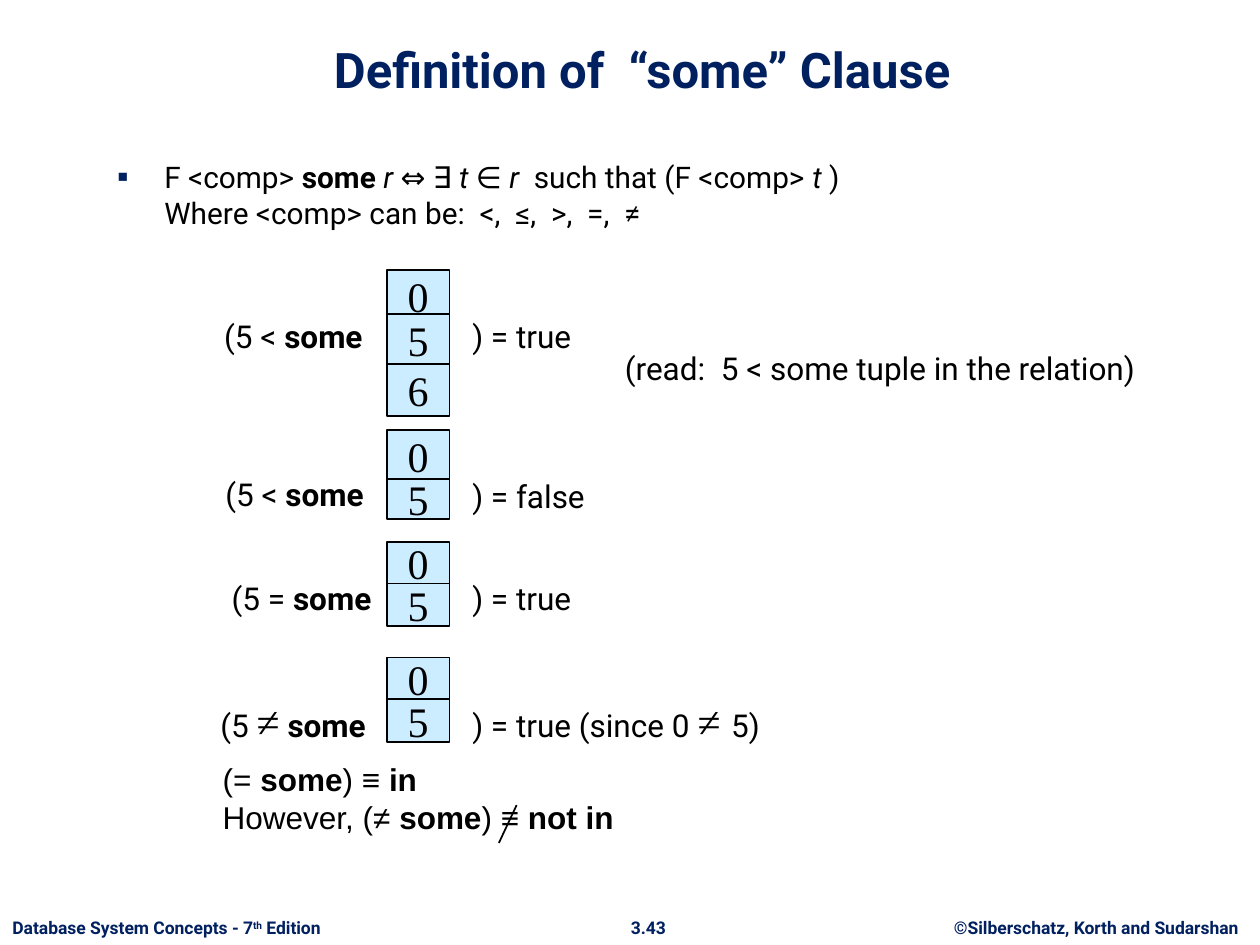
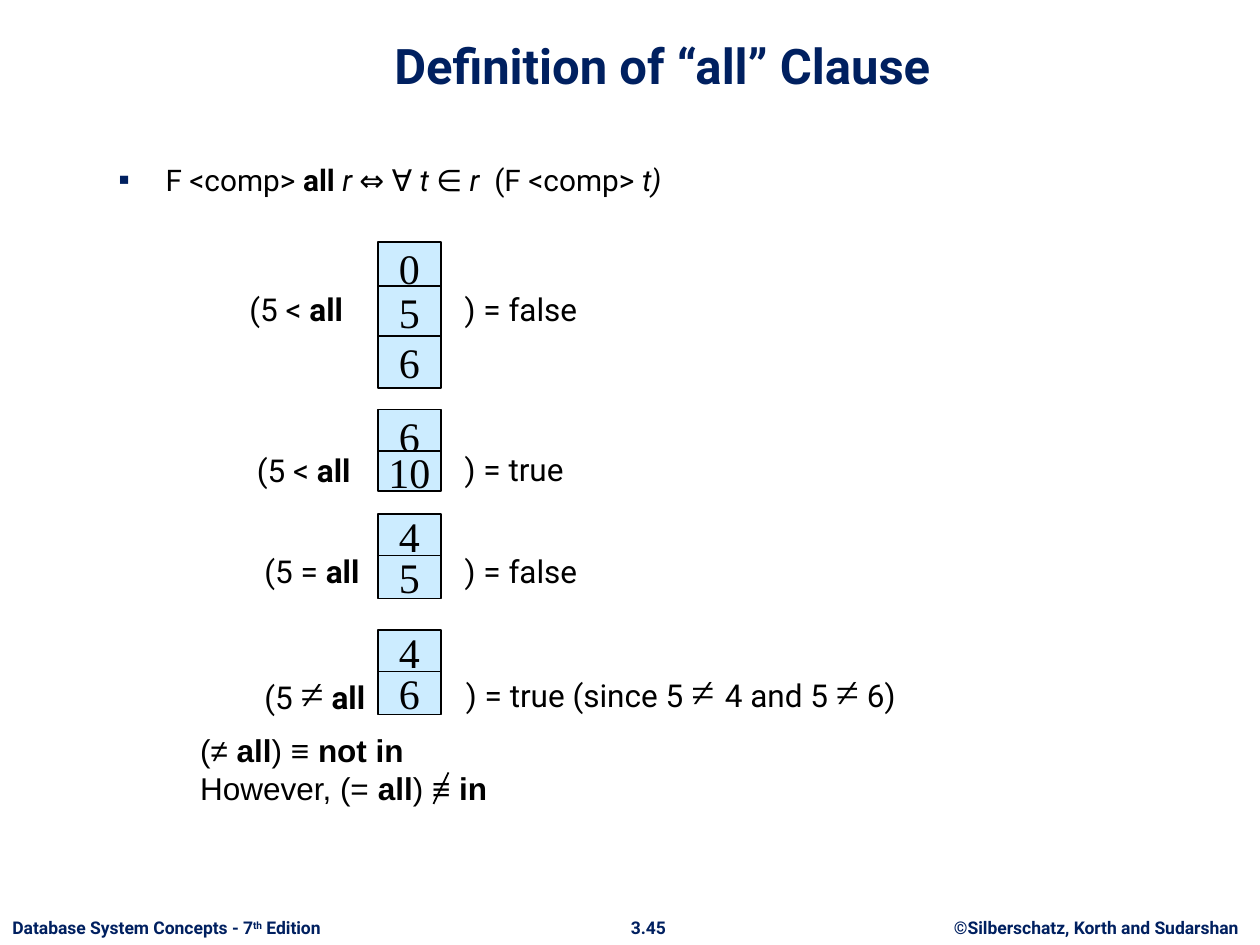
from lxml.etree import SubElement
from pptx import Presentation
from pptx.dml.color import RGBColor
from pptx.enum.shapes import MSO_CONNECTOR, MSO_SHAPE
from pptx.enum.text import MSO_ANCHOR, MSO_AUTO_SIZE, PP_ALIGN
from pptx.oxml.ns import qn
from pptx.util import Pt

COLORS = {"navy": "002060", "ink": "000000", "cell": "CCECFF"}
SANS, SERIF, PLAIN = "Roboto", "Times New Roman", "Arial"
CELL_W = 36
NEQ = ("≠", "sign")
NEQ_GAP = ("≠ ", "sign")


def color(name):
    return RGBColor.from_string(COLORS[name])


class Deck:
    def __init__(self):
        self.prs = Presentation()
        self.prs.slide_width, self.prs.slide_height = Pt(720), Pt(540)
        self.slide = None

    def start(self, title, left, top, page):
        self.slide = self.prs.slides.add_slide(self.prs.slide_layouts[5])
        box = self.slide.shapes.title
        box.left, box.top, box.width, box.height = Pt(left), Pt(top), Pt(635.8), Pt(48.2)
        frame = box.text_frame
        frame.auto_size = MSO_AUTO_SIZE.NONE
        frame.vertical_anchor = MSO_ANCHOR.BOTTOM
        frame.text = title
        para = frame.paragraphs[0]
        para.alignment = PP_ALIGN.CENTER
        self.style(para.runs[0], 28, tint="navy", bold=True)
        self.footer(page)

    def style(self, run, size, font=SANS, tint="ink", bold=False, italic=False):
        face = run.font
        face.size, face.name = Pt(size), font
        face.bold, face.italic = bold, italic
        face.color.rgb = color(tint)

    def fill(self, para, parts, size, font=SANS, tint="ink", bold=False):
        """Add runs: a plain string, or a pair of text and kind (bold, italic, sign, super)."""
        for part in parts:
            text, kind = (part, "") if isinstance(part, str) else part
            if kind == "break":
                para.add_line_break()
                continue
            run = para.add_run()
            run.text = text
            if kind == "sign":
                self.style(run, 24, SERIF, tint)
            else:
                self.style(run, size, font, tint, bold or kind == "bold", kind == "italic")
            if kind == "super":
                run.font._element.set("baseline", "30000")

    def text(self, left, top, width, height, *lines, size=18, font=SANS,
             tint="ink", bold=False, align=PP_ALIGN.LEFT):
        box = self.slide.shapes.add_textbox(Pt(left), Pt(top), Pt(width), Pt(height))
        frame = box.text_frame
        frame.word_wrap = True
        for i, parts in enumerate(lines):
            para = frame.add_paragraph() if i else frame.paragraphs[0]
            para.alignment = align
            self.fill(para, parts, size, font, tint, bold)
        return frame

    def footer(self, page):
        look = dict(size=10, tint="navy", bold=True)
        mid = PP_ALIGN.CENTER
        self.text(532.8, 520.5, 187.2, 19.5, ["©Silberschatz, Korth and Sudarshan"], align=mid, **look)
        self.text(340, 520.5, 61, 19.5, [page], align=mid, **look)
        self.text(0, 520.5, 202.3, 19.5,
                  ["Database System Concepts - 7", ("th", "super"), " Edition"], **look)

    def bullet(self, left, top, width, height, parts):
        frame = self.text(left, top, width, height, parts, size=17)
        props = frame.paragraphs[0]._p.get_or_add_pPr()
        props.set("marL", str(Pt(27)))
        props.set("indent", str(-Pt(27)))
        tint = SubElement(props, qn("a:buClr"))
        SubElement(tint, qn("a:srgbClr"), val=COLORS["navy"])
        SubElement(props, qn("a:buSzPct"), val="110000")
        SubElement(props, qn("a:buFont"), typeface=PLAIN)
        SubElement(props, qn("a:buChar"), char="▪")

    def cell(self, left, top, height, value):
        box = self.slide.shapes.add_shape(
            MSO_SHAPE.RECTANGLE, Pt(left), Pt(top), Pt(CELL_W), Pt(height))
        box.shadow.inherit = False
        box.fill.solid()
        box.fill.fore_color.rgb = color("cell")
        box.line.color.rgb = color("ink")
        box.line.width = Pt(1)
        frame = box.text_frame
        frame.word_wrap = False
        frame.vertical_anchor = MSO_ANCHOR.MIDDLE
        frame.text = value
        para = frame.paragraphs[0]
        para.alignment = PP_ALIGN.CENTER
        self.style(para.runs[0], 24, SERIF)

    def stack(self, left, cells):
        for top, height, value in cells:
            self.cell(left, top, height, value)

    def claim(self, spot, parts, width):
        """Put one side of a comparison at a spot, taller where it holds a large sign."""
        tall = any(part in (NEQ, NEQ_GAP) for part in parts)
        self.text(*spot, width, 36 if tall else 28.8, parts)

    def line(self, x1, y1, x2, y2):
        bar = self.slide.shapes.add_connector(
            MSO_CONNECTOR.STRAIGHT, Pt(x1), Pt(y1), Pt(x2), Pt(y2))
        bar.line.color.rgb = color("ink")
        bar.line.width = Pt(1)
        SubElement(bar._element.spPr, qn("a:effectLst"))

    def tests(self, word, left, rows):
        """Draw rows of: left spot, sign, cells, right spot, result."""
        for start, sign, cells, end, result in rows:
            self.stack(left, cells)
            lead = ["(5 ", NEQ, " "] if sign == "≠" else [f"(5 {sign} "]
            self.claim(start, lead + [(word, "bold")], 120)
            self.claim(end, result, 360)

    def rules(self, left, top, word, first, second, slash):
        """Write the two closing equivalences and strike out the second."""
        lines = [[f"{lead} ", (word, "bold"), ") ≡ ", (goal, "bold")]
                 for lead, goal in (first, second)]
        self.text(left, top, 535.7, 56.2, *lines, font=PLAIN)
        self.line(*slash)


def some(deck):
    deck.start("Definition of  “some” Clause", 49, 11.5, "3.43")
    deck.bullet(59.8, 87.1, 535.7, 56.2, [
        "F <comp> ", ("some ", "bold"), ("r ", "italic"), "⇔ ∃ ", ("t ", "italic"), "∈",
        (" r  ", "italic"), "such that (F <comp> ", ("t ", "italic"), ")", ("", "break"),
        "Where <comp> can be:  <,  ≤,  >,  =,  ≠"])
    deck.tests("some", 221, [
        ((121, 177.8), "<", [(154.1, 29.5, "0"), (179.3, 29.5, "5"), (208.1, 29.5, "6")],
         (262.8, 177.8), [") = true"]),
        ((121.7, 267.8), "<", [(245.5, 30.2, "0"), (273.6, 23, "5")],
         (262.8, 269.3), [") = false"]),
        ((125.3, 327.6), "=", [(309.6, 24.5, "0"), (333.4, 24.5, "5")],
         (262.8, 327.6), [") = true"]),
        ((118.8, 393.8), "≠", [(375.8, 24.5, "0"), (399.6, 24.5, "5")],
         (262.8, 393.8), [") = true (since 0 ", NEQ_GAP, "5)"]),
    ])
    deck.text(350, 195.8, 370, 28.8, ["(read:  5 < some tuple in the relation)"])
    deck.rules(120.2, 430.6, "some", ("(=", "in"), ("However, (≠", "not in"),
               (295.2, 460.1, 285.1, 481.7))


def every(deck):
    deck.start("Definition of “all” Clause", 60.5, 9.4, "3.45")
    deck.bullet(60.5, 88.6, 527, 30.2, [
        "F <comp> ", ("all ", "bold"), ("r ", "italic"), "⇔ ∀ ", ("t ", "italic"), "∈",
        (" r ", "italic"), " (F <comp> ", ("t)", "italic")])
    deck.tests("all", 216, [
        ((135.4, 162), "<", [(138.2, 29.5, "0"), (163.4, 29.5, "5"), (192.2, 29.5, "6")],
         (258.5, 162), [") = false"]),
        ((139.7, 254.2), "<", [(234, 30.2, "6"), (257.8, 23, "10")],
         (258.5, 253.4), [") = true"]),
        ((144, 311.8), "=", [(293.8, 24.5, "4"), (317.5, 24.5, "5")],
         (258.5, 311.8), [") = false"]),
        ((144, 378), "≠", [(360, 24.5, "4"), (383.8, 24.5, "6")],
         (259.2, 376.6), [") = true (since 5 ", NEQ_GAP, "4 and 5 ", NEQ, " 6)"]),
    ])
    deck.rules(107.3, 414, "all", ("(≠", "not in"), ("However, (=", "in"),
               (256.3, 441.4, 247.7, 459.4))


def main():
    deck = Deck()
    some(deck)
    every(deck)
    deck.prs.save("out.pptx")


if __name__ == "__main__":
    main()
